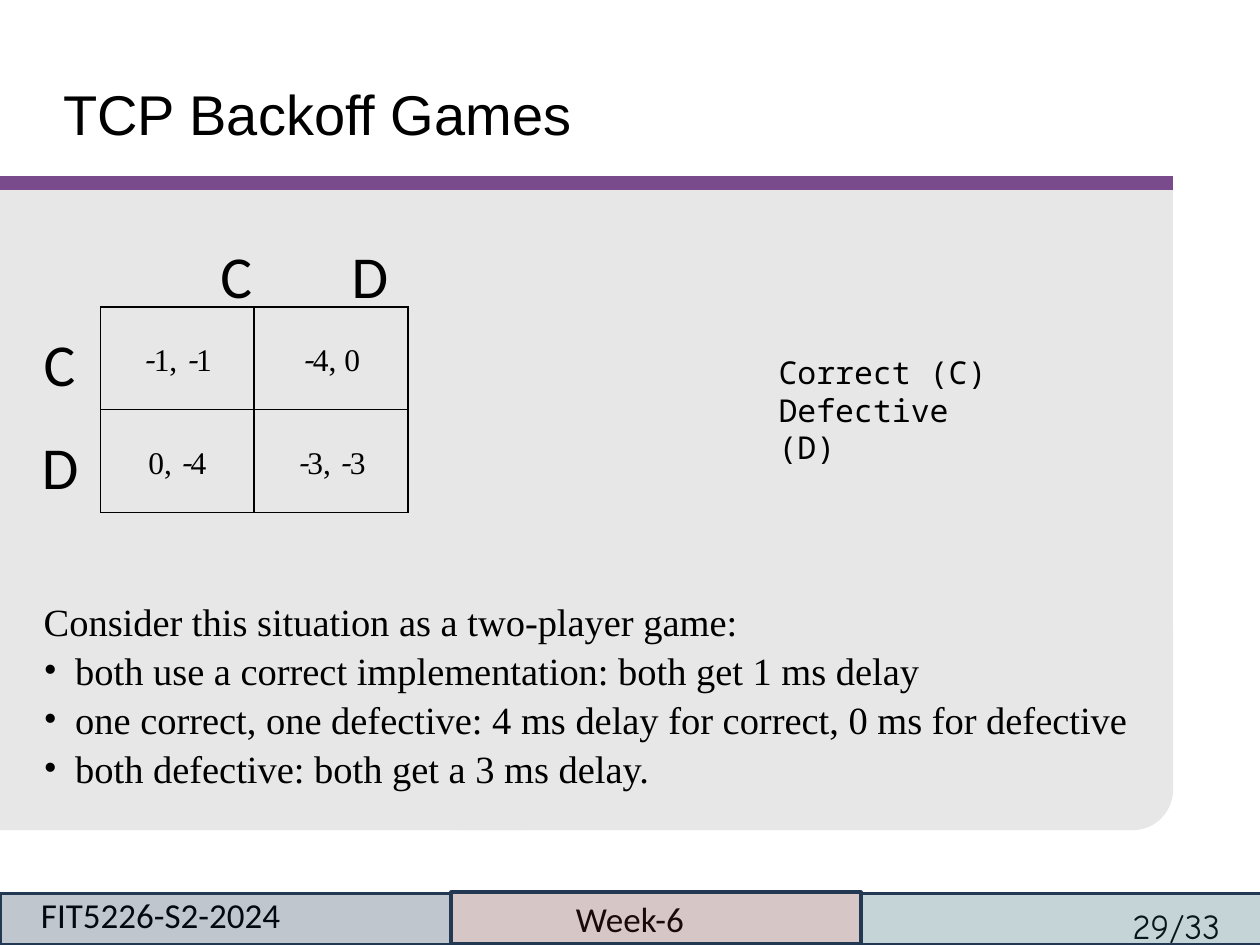
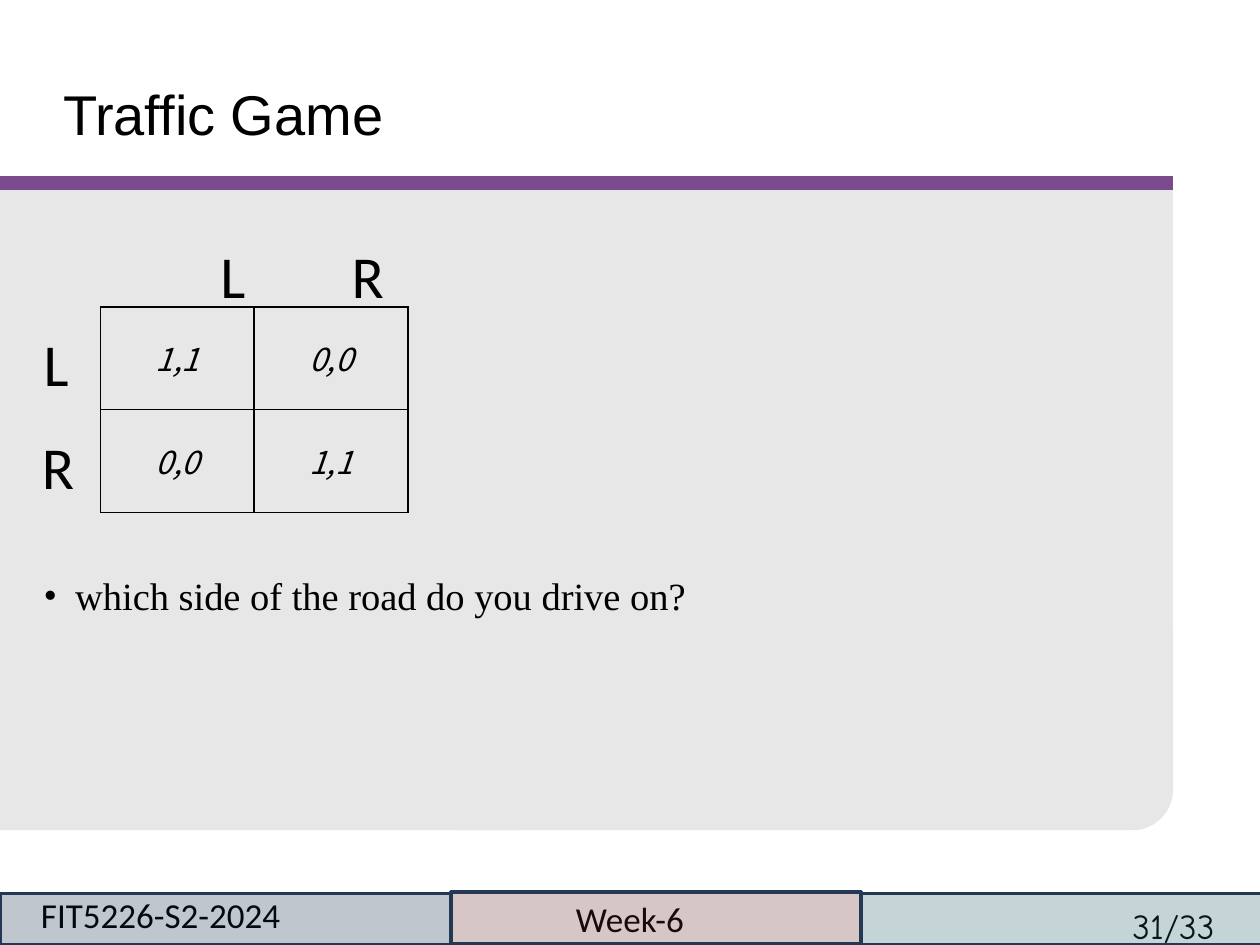
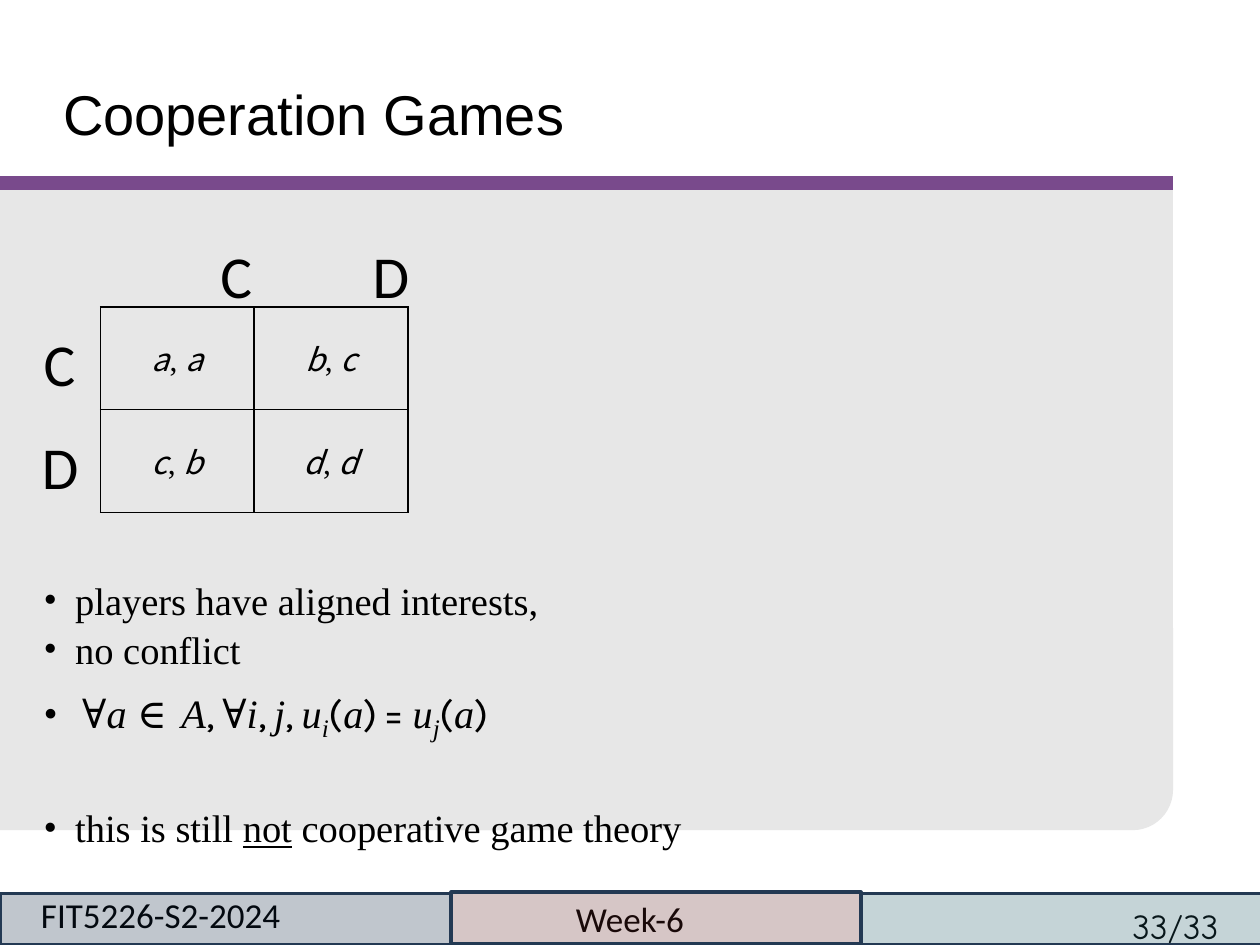
from itertools import groupby

from lxml import etree
from pptx import Presentation
from pptx.dml.color import RGBColor
from pptx.enum.shapes import MSO_CONNECTOR, MSO_SHAPE
from pptx.enum.text import MSO_ANCHOR, PP_ALIGN
from pptx.oxml.ns import qn
from pptx.util import Pt

LEFT, CENTER = PP_ALIGN.LEFT, PP_ALIGN.CENTER
TOP, MIDDLE = MSO_ANCHOR.TOP, MSO_ANCHOR.MIDDLE
RECTANGLE, ROUNDED = MSO_SHAPE.RECTANGLE, MSO_SHAPE.ROUNDED_RECTANGLE
STRAIGHT = MSO_CONNECTOR.STRAIGHT

COLORS = {
    "text": "000000", "panel": "E7E7E7", "rule": "794A8C", "band line": "233953",
    "navy": "0F243E", "maroon": "632523", "teal": "215968",
}
SERIF, SYMBOL, LABEL = "Times New Roman", "Noto Sans CJK JP", "Calibri"
MATH, PUNCTUATION = "Cambria", "Karla"

# Shared geometry: (left, top, width, height)
PANEL_PARTS = [
    (RECTANGLE, 0, 107.3, 670.3, 313.9),
    (ROUNDED, 239.8, 336.2, 430.5, 138.2),
    (RECTANGLE, 0, 197.3, 298, 277.1),
]
BANDS = [
    ("navy", 0, 510.5, 257.8, 29.5),
    ("maroon", 257.8, 509.8, 234.2, 29.5),
    ("teal", 492, 510.5, 229, 29.5),
]

# Formula pieces: text and its format
variable = {"font": SERIF, "italic": True, "spacing": 0.1}
index = {"font": SERIF, "italic": True, "size": 24.8, "baseline": -20}
operator = {"font": MATH, "spacing": -0.2}
mark = {"font": PUNCTUATION, "spacing": -1.1}
FORMULA = [
    ("∀", operator), ("a ", variable), ("∈ ", {"font": MATH, "spacing": 1.6}),
    ("A", variable), (", ", mark), ("∀", operator), ("i", variable), (", ", mark),
    ("j", variable), (", ", mark), ("u", variable), ("i", index), ("(", mark),
    ("a", variable), (") ", mark), ("= ", mark), ("u", variable), ("j", index),
    ("(", mark), ("a", variable), (")", mark),
]

# Body lines: (runs, bulleted, text indent, space before)
GAMES = [
    {
        "title": "TCP Backoff Games", "page": "29/33",
        "moves": "CD", "second column": 177,
        "payoffs": [["-1, -1", "-4, 0"], ["0, -4", "-3, -3"]], "symbols": "-",
        "body top": 340,
        "body": [
            ([("Consider this situation as a two-player game:", {})], False, 1, 0),
            ([("both use a correct implementation: both get 1 ms delay", {})], True, 19, 0),
            ([("one correct, one defective: 4 ms delay for correct, 0 ms for defective", {})],
             True, 19, 0),
            ([("both defective: both get a 3 ms delay.", {})], True, 19, 0),
        ],
        "legend": ["Correct (C)", "Defective (D)"],
    },
    {
        "title": "Traffic Game", "page": "31/33",
        "moves": "LR", "second column": 177,
        "payoffs": [["1,1", "0,0"], ["0,0", "1,1"]], "symbols": "01,",
        "body top": 325.5,
        "body": [([("which side of the road do you drive on?", {})], True, 19, 0)],
        "legend": [],
    },
    {
        "title": "Cooperation Games", "page": "33/33",
        "moves": "CD", "second column": 189,
        "payoffs": [["a, a", "b, c"], ["c, b", "d, d"]], "symbols": "abcd",
        "body top": 328,
        "body": [
            ([("players have aligned interests,", {})], True, 19, 0),
            ([("no conflict", {})], True, 19, 0),
            (FORMULA, True, 23, 12),
            ([("this is still ", {}), ("not", {"underline": True}),
              (" cooperative game theory", {})], True, 19, 34),
        ],
        "legend": [],
    },
]


def write(paragraph, text, font=SERIF, size=22, italic=False, underline=False,
          baseline=0, spacing=0):
    """Add a formatted run; spacing is in points, baseline in percent."""
    run = paragraph.add_run()
    run.text = text
    run.font.name = font
    run.font.size = Pt(size)
    run.font.bold = False
    run.font.italic = italic
    run.font.underline = underline
    run.font.color.rgb = RGBColor.from_string(COLORS["text"])
    properties = run._r.get_or_add_rPr()
    if baseline:
        properties.set("baseline", str(baseline * 1000))
    if spacing:
        properties.set("spc", str(round(spacing * 100)))


def add_text_frame(slide, left, top, width, height, margins=(0, 0), wrap=True):
    """Add a text box and return its frame; margins are horizontal, vertical."""
    frame = slide.shapes.add_textbox(Pt(left), Pt(top), Pt(width), Pt(height)).text_frame
    frame.word_wrap = wrap
    frame.margin_left = frame.margin_right = Pt(margins[0])
    frame.margin_top = frame.margin_bottom = Pt(margins[1])
    return frame


presentation = Presentation()
presentation.slide_width, presentation.slide_height = Pt(720), Pt(540)

for game in GAMES:
    slide = presentation.slides.add_slide(presentation.slide_layouts[5])

    # Grey panel with one rounded corner
    for kind, left, top, width, height in PANEL_PARTS:
        part = slide.shapes.add_shape(kind, Pt(left), Pt(top), Pt(width), Pt(height))
        part.shadow.inherit = False
        part.fill.solid()
        part.fill.fore_color.rgb = RGBColor.from_string(COLORS["panel"])
        part.line.fill.background()

    # Rule under the title
    rule = slide.shapes.add_connector(STRAIGHT, Pt(0), Pt(104.4), Pt(670.3), Pt(104.4))
    rule.line.color.rgb = RGBColor.from_string(COLORS["rule"])
    rule.line.width = Pt(8)
    etree.SubElement(rule._element.spPr, qn("a:effectLst"))

    # Title
    title = slide.shapes.title
    title.left, title.top, title.width, title.height = Pt(36), Pt(45.4), Pt(647), Pt(36)
    frame = title.text_frame
    frame.margin_left = frame.margin_right = frame.margin_top = frame.margin_bottom = 0
    frame.vertical_anchor = TOP
    frame.paragraphs[0].alignment = LEFT
    write(frame.paragraphs[0], game["title"], font="Arial", size=32)

    # Move names above and beside the payoff table
    first, second = game["moves"]
    frame = add_text_frame(slide, 24, 136.8, 210, 151)
    for number, (text, space) in enumerate(
            [(f"\t{first}\t{second}", 0), (first, 9.2), (second, 18.1)]):
        paragraph = frame.add_paragraph() if number else frame.paragraphs[0]
        if number:
            paragraph.space_before = Pt(space)
            paragraph._p.get_or_add_pPr().set("marL", str(Pt(2 - number)))
        else:
            tabs = etree.SubElement(paragraph._p.get_or_add_pPr(), qn("a:tabLst"))
            for position in (102, game["second column"]):
                etree.SubElement(tabs, qn("a:tab"), pos=str(Pt(position)), algn="l")
        write(paragraph, text, font=LABEL, size=34)

    # Payoff table
    table = slide.shapes.add_table(2, 2, Pt(57.5), Pt(175.5), Pt(175.6), Pt(117.4)).table
    table.first_row = table.horz_banding = False
    for column in table.columns:
        column.width = Pt(87.8)
    for row, height, payoffs in zip(table.rows, (58.4, 59), game["payoffs"]):
        row.height = Pt(height)
        for cell, payoff in zip(row.cells, payoffs):
            for side in ("a:lnL", "a:lnR", "a:lnT", "a:lnB"):
                border = etree.SubElement(
                    cell._tc.get_or_add_tcPr(), qn(side), w=str(Pt(1)))
                fill = etree.SubElement(border, qn("a:solidFill"))
                etree.SubElement(fill, qn("a:srgbClr"), val=COLORS["text"])
            cell.fill.solid()
            cell.fill.fore_color.rgb = RGBColor.from_string(COLORS["panel"])
            cell.margin_left = cell.margin_right = cell.margin_top = cell.margin_bottom = 0
            cell.vertical_anchor = MIDDLE
            paragraph = cell.text_frame.paragraphs[0]
            paragraph.alignment = CENTER
            for is_symbol, characters in groupby(payoff, lambda c: c in game["symbols"]):
                write(paragraph, "".join(characters), size=18, italic=is_symbol,
                      font=SYMBOL if is_symbol else SERIF)

    # Body text
    frame = add_text_frame(slide, 24, game["body top"], 640, 28 * len(game["body"]))
    for number, (runs, bulleted, indent, space) in enumerate(game["body"]):
        paragraph = frame.add_paragraph() if number else frame.paragraphs[0]
        properties = paragraph._p.get_or_add_pPr()
        properties.set("marL", str(Pt(indent)))
        if bulleted:
            properties.set("indent", str(Pt(1 - indent)))
            etree.SubElement(properties, qn("a:buFont"), typeface=SERIF)
            etree.SubElement(properties, qn("a:buChar"), char="•")
        paragraph.line_spacing = Pt(28)
        if space:
            paragraph.space_before = Pt(space)
        for text, style in runs:
            write(paragraph, text, **{"size": 23 if runs is FORMULA else 22, **style})

    # Legend of the moves
    if game["legend"]:
        frame = add_text_frame(slide, 437.8, 198, 144, 51, margins=(7.2, 3.6))
        for number, text in enumerate(game["legend"]):
            paragraph = frame.add_paragraph() if number else frame.paragraphs[0]
            write(paragraph, text, font="Noto Sans Mono", size=18)

    # Footer texts under translucent bands
    frame = add_text_frame(slide, 19.4, 506.2, 146, 32.4, margins=(4, 4), wrap=False)
    frame.vertical_anchor = MIDDLE
    write(frame.paragraphs[0], "FIT5226-S2-2024", font=LABEL, size=20)
    frame = add_text_frame(slide, 640, 513.4, 88, 32.4, margins=(7.2, 3.6))
    write(frame.paragraphs[0], game["page"], font="Comic Neue", size=20)
    frame = add_text_frame(slide, 244.8, 512.6, 230.4, 27.4)
    frame.paragraphs[0].alignment = CENTER
    write(frame.paragraphs[0], "Week-6", font=LABEL, size=20)
    for color, left, top, width, height in BANDS:
        band = slide.shapes.add_shape(RECTANGLE, Pt(left), Pt(top), Pt(width), Pt(height))
        band.shadow.inherit = False
        band.fill.solid()
        band.fill.fore_color.rgb = RGBColor.from_string(COLORS[color])
        band_color = band._element.spPr.find(qn("a:solidFill")).find(qn("a:srgbClr"))
        etree.SubElement(band_color, qn("a:alpha"), val="26000")
        band.line.color.rgb = RGBColor.from_string(COLORS["band line"])
        band.line.width = Pt(2)

presentation.save("out.pptx")
